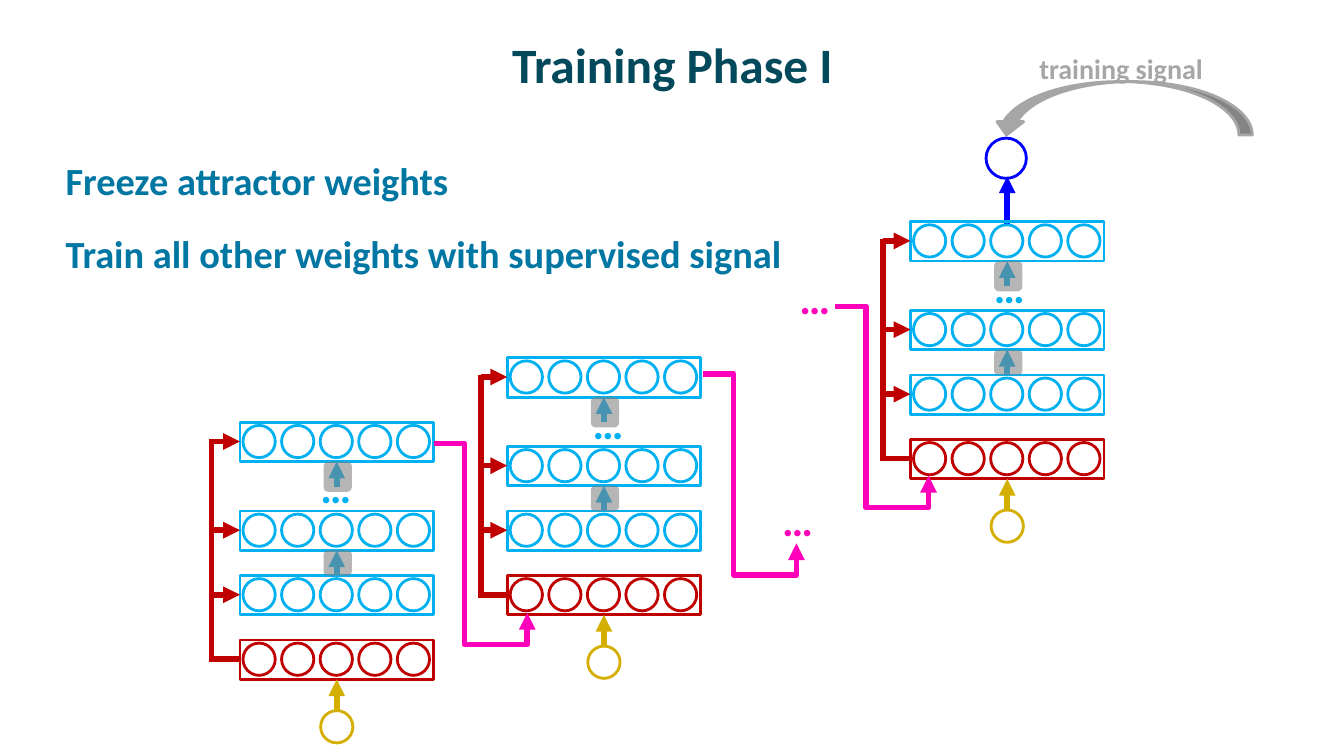
import pptx
import pptx.dml.color
import pptx.enum.shapes
import pptx.enum.text
import pptx.oxml
import pptx.oxml.ns
import pptx.util

Inches = pptx.util.Inches
Pt = pptx.util.Pt
SHAPE = pptx.enum.shapes.MSO_SHAPE
CONNECTOR = pptx.enum.shapes.MSO_CONNECTOR
ANCHOR = pptx.enum.text.MSO_ANCHOR
ALIGN = pptx.enum.text.PP_ALIGN
AUTO_SIZE = pptx.enum.text.MSO_AUTO_SIZE

COLORS = {
    "title": "03495C",
    "body": "0076A3",
    "output": "0000FF",
    "input": "D4AE00",
    "feedback": "C00000",
    "layer": "00B0F0",
    "sequence": "FF00BA",
    "signal": "A6A6A6",
    "gate": "808080",
}

STACKS = [
    {"left": 2.38, "top": 4.19, "trunk": -0.28, "dots": 0.7},
    {"left": 5.03, "top": 3.55, "trunk": -0.26, "dots": 0.75},
    {"left": 9.03, "top": 2.2, "trunk": -0.27, "dots": 0.73},
]
LAYER_ROWS = [("layer", 0), ("layer", 0.88), ("layer", 1.52), ("feedback", 2.16)]
LAYER_WIDTH = 1.92
LAYER_HEIGHT = 0.39
UNIT_SIZE = 0.32
UNIT_PITCH = 0.3825
UNIT_COUNT = 5
SEQUENCE_STARTS = [(4.3, 4.4), (6.97, 3.71), (8.28, 3.04)]
SEQUENCE_DOTS = [(7.66, 4.84), (7.83, 2.64)]

FRAME_FORMAT = {
    "margin_left": Inches(0.11),
    "margin_right": Inches(0.11),
    "margin_top": Inches(0.06),
    "margin_bottom": Inches(0.06),
    "word_wrap": True,
    "auto_size": AUTO_SIZE.NONE,
}
LABEL_FORMAT = {"word_wrap": False, "auto_size": AUTO_SIZE.SHAPE_TO_FIT_TEXT}


def apply_format(target, values):
    for name, value in values.items():
        setattr(target, name, value)


def color(name):
    return pptx.dml.color.RGBColor.from_string(COLORS[name])


def place(shape, left, top, width, height):
    box = {"left": left, "top": top, "width": width, "height": height}
    apply_format(shape, {name: Inches(value) for name, value in box.items()})


def add_xml(parent, tag, **attributes):
    element = pptx.oxml.ns.qn(tag)
    child = parent.makeelement(element, attributes)
    parent.append(child)
    return child


def write_paragraph(paragraph, text, size, color_name):
    run = paragraph.add_run()
    run.text = text
    apply_format(run.font, {"name": "Calibri", "size": Pt(size), "bold": True})
    run.font.color.rgb = color(color_name)


def add_outline(shapes, kind, box, color_name, filled=False):
    shape = shapes.add_shape(kind, *map(Inches, box))
    shape.shadow.inherit = False
    shape.line.width = Pt(2)
    shape.line.color.rgb = color(color_name)
    if filled:
        shape.fill.solid()
        shape.fill.fore_color.rgb = color(color_name)
    else:
        shape.fill.background()
    return shape


def add_line(shapes, start, end, color_name, arrow=True, kind=CONNECTOR.STRAIGHT):
    connector = shapes.add_connector(kind, *map(Inches, (*start, *end)))
    connector.line.width = Pt(4)
    connector.line.color.rgb = color(color_name)
    if arrow:
        add_xml(connector.line._get_or_add_ln(), "a:tailEnd", type="triangle")
    add_xml(connector.element.spPr, "a:effectLst")
    return connector


def add_sequence_arrow(shapes, left, top):
    end = (left + 0.93, top + 1.68)
    connector = add_line(shapes, (left, top), end, "sequence", kind=CONNECTOR.ELBOW)
    geometry = connector.element.spPr.find(pptx.oxml.ns.qn("a:prstGeom"))
    geometry.set("prst", "bentConnector4")
    for child in list(geometry):
        geometry.remove(child)
    guides = add_xml(geometry, "a:avLst")
    for name, value in {"adj1": 33000, "adj2": 118800}.items():
        add_xml(guides, "a:gd", name=name, fmla=f"val {value}")


def add_label(shapes, text, box, size, color_name):
    label = shapes.add_textbox(*map(Inches, box))
    apply_format(label.text_frame, LABEL_FORMAT)
    write_paragraph(label.text_frame.paragraphs[0], text, size, color_name)


def add_layer(shapes, left, top, color_name):
    for index in range(UNIT_COUNT):
        unit_left = left + 0.03 + index * UNIT_PITCH
        unit_box = (unit_left, top + 0.03, UNIT_SIZE, UNIT_SIZE)
        add_outline(shapes, SHAPE.OVAL, unit_box, color_name)
    layer_box = (left, top, LAYER_WIDTH, LAYER_HEIGHT)
    add_outline(shapes, SHAPE.RECTANGLE, layer_box, color_name)


def add_gate(shapes, left, top, height):
    gate = shapes.add_shape(SHAPE.ROUNDED_RECTANGLE, *map(Inches, (left, top, 0.28, height)))
    gate.shadow.inherit = False
    gate.line.fill.background()
    gate.fill.solid()
    gate.fill.fore_color.rgb = color("gate")
    fill_color = gate.element.spPr.find(".//" + pptx.oxml.ns.qn("a:srgbClr"))
    add_xml(fill_color, "a:alpha", val="57000")


def add_feedback(shapes, left, top, trunk):
    for offset in (0.19, 1.07, 1.71):
        add_line(shapes, (trunk, top + offset), (left, top + offset), "feedback")
    foot = top + 2.35
    add_line(shapes, (trunk - 0.03, foot), (left, foot), "feedback", arrow=False)
    add_line(shapes, (trunk, top + 0.17), (trunk, top + 2.36), "feedback", arrow=False)


def add_stack(slide, left, top, trunk, dots):
    shapes = slide.shapes.add_group_shape().shapes
    center = left + LAYER_WIDTH / 2
    input_box = (center - UNIT_SIZE / 2, top + 2.86, UNIT_SIZE, UNIT_SIZE)
    add_outline(shapes, SHAPE.OVAL, input_box, "input")
    for color_name, offset in LAYER_ROWS:
        add_layer(shapes, left, top + offset, color_name)
    for color_name, start, end in (("input", 2.86, 2.55), ("layer", 1.52, 1.27), ("layer", 0.64, 0.39)):
        add_line(shapes, (center, top + start), (center, top + end), color_name)
    add_label(shapes, "…", (left + dots, top + 0.33, 0.41, 0.5), 31, "layer")
    for offset, height in ((0.39, 0.3), (1.27, 0.25)):
        add_gate(shapes, left + 0.83, top + offset, height)
    add_feedback(shapes, left, top, left + trunk)


def write_title(slide):
    title = slide.shapes.title
    place(title, 0.67, 0.17, 12, 0.92)
    apply_format(title.text_frame, {**FRAME_FORMAT, "vertical_anchor": ANCHOR.MIDDLE})
    paragraph = title.text_frame.paragraphs[0]
    paragraph.alignment = ALIGN.CENTER
    write_paragraph(paragraph, "Training Phase I", 35.3, "title")


def write_body(slide, lines):
    body = slide.placeholders[1]
    place(body, 0.44, 1.5, 12.22, 5.2)
    frame = body.text_frame
    apply_format(frame, {**FRAME_FORMAT, "vertical_anchor": ANCHOR.TOP})
    for index, line in enumerate(lines):
        paragraph = frame.add_paragraph() if index else frame.paragraphs[0]
        paragraph.space_before = Pt(19.5)
        properties = paragraph._p.get_or_add_pPr()
        properties.set("marL", str(Inches(0.1)))
        properties.set("indent", "0")
        add_xml(properties, "a:buNone")
        write_paragraph(paragraph, line, 27.4, "body")


def add_training_signal(shapes):
    arrow = add_outline(shapes, SHAPE.CURVED_RIGHT_ARROW, (10.87, -0.21, 0.53, 2.57), "signal", filled=True)
    arrow.rotation = 90
    add_label(shapes, "training signal", (10.21, 0.46, 2.01, 0.29), 20, "signal")


def main():
    presentation = pptx.Presentation()
    apply_format(presentation, {"slide_width": Inches(13.33), "slide_height": Inches(7.5)})
    slide = presentation.slides.add_slide(presentation.slide_layouts[1])
    shapes = slide.shapes
    write_title(slide)
    write_body(slide, ["Freeze attractor weights", "Train all other weights with supervised signal"])
    add_outline(shapes, SHAPE.OVAL, (9.78, 1.37, 0.4, 0.4), "output")
    add_line(shapes, (9.99, 2.22), (9.99, 1.75), "output")
    for stack in STACKS:
        add_stack(slide, **stack)
    for left, top in SEQUENCE_STARTS:
        add_sequence_arrow(shapes, left, top)
    for left, top in SEQUENCE_DOTS:
        add_label(shapes, "…", (left, top, 0.51, 0.62), 31, "sequence")
    add_training_signal(shapes)
    presentation.save("out.pptx")


if __name__ == "__main__":
    main()
